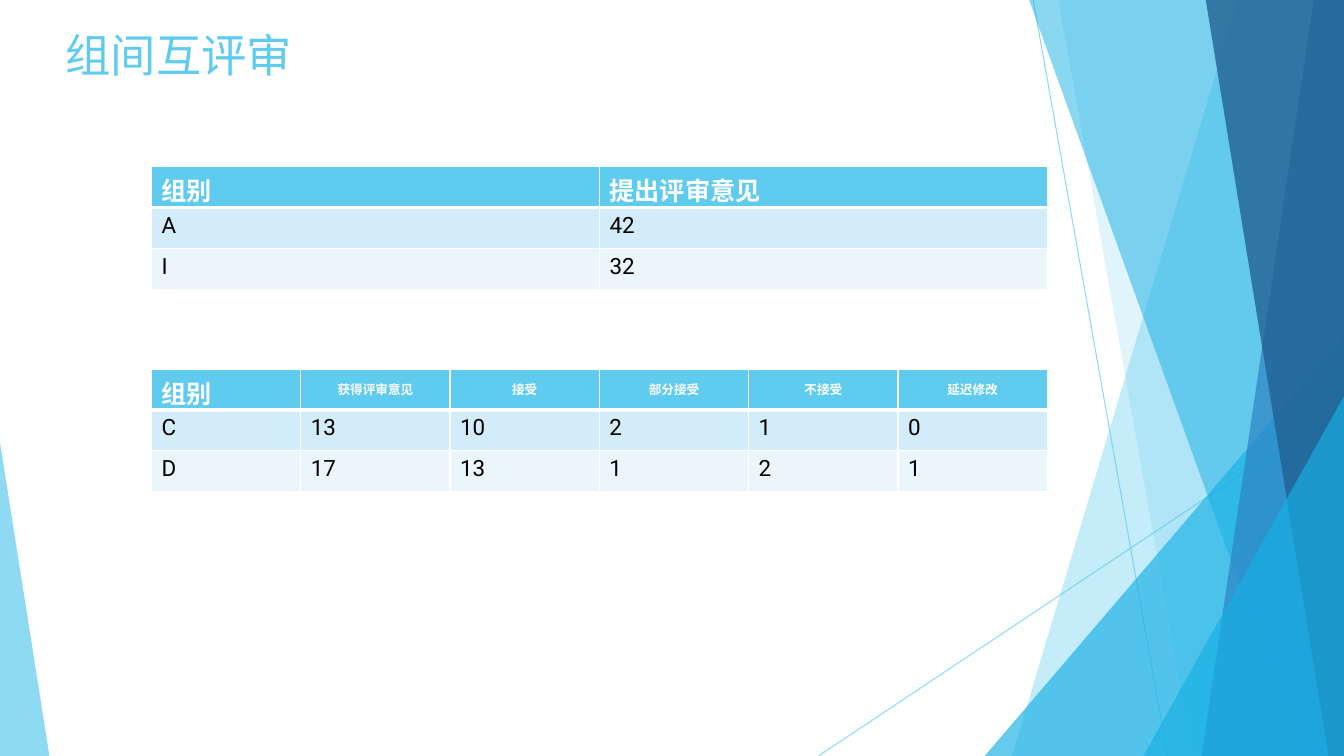
from collections import namedtuple
from dataclasses import dataclass

from lxml.etree import SubElement
from pptx import Presentation
from pptx.dml.color import RGBColor
from pptx.enum.shapes import MSO_CONNECTOR, MSO_SHAPE
from pptx.enum.text import MSO_ANCHOR, PP_ALIGN
from pptx.oxml.ns import qn
from pptx.util import Pt

Box = namedtuple("Box", "x y w h")


@dataclass(frozen=True)
class Theme:
    sky: str = "5FCBEF"
    cyan: str = "17B0E4"
    blue: str = "2E83C3"
    navy: str = "226292"
    white: str = "FFFFFF"
    black: str = "000000"
    bands: tuple = ("D2ECF9", "EAF6FC")
    font: str = "Roboto"
    serif: str = "Times New Roman"
    title: float = 32.4
    head: float = 18
    body: float = 16
    small: float = 9
    hair: float = 0.75
    rule: float = 1
    thick: float = 3


THEME = Theme()


def rgb(code):
    return RGBColor.from_string(code)


def fade(part, alpha):
    """Set the opacity, in percent, of every colour in an XML part."""
    for tone in part.iter(qn("a:srgbClr")):
        SubElement(tone, qn("a:alpha")).set("val", str(alpha * 1000))


def paint(shape, color, alpha):
    shape.shadow.inherit = False
    shape.fill.solid()
    shape.fill.fore_color.rgb = rgb(color)
    shape.line.fill.background()
    fade(shape._element.spPr, alpha)


def style(para, font, size, color, bold=False):
    for run in para.runs:
        run.font.name = font
        run.font.size = Pt(size)
        run.font.bold = bold
        run.font.color.rgb = rgb(color)


def add_line(slide, start, end):
    line = slide.shapes.add_connector(
        MSO_CONNECTOR.STRAIGHT, *(Pt(v) for v in (*start, *end)))
    line.line.color.rgb = rgb(THEME.sky)
    line.line.width = Pt(THEME.hair)
    props = line._element.spPr
    fade(props, 70)
    SubElement(props, qn("a:effectLst"))


def add_pane(slide, box, top, foot, color, alpha):
    """Fill the box from a slanted left edge, set back from its right side."""
    right, base = box.x + box.w, box.y + box.h
    form = slide.shapes.build_freeform(Pt(right - top), Pt(box.y), scale=1.0)
    form.add_line_segments([(Pt(right), Pt(box.y)), (Pt(right), Pt(base)),
                            (Pt(right - foot), Pt(base))])
    paint(form.convert_to_shape(), color, alpha)


def add_wedge(slide, box, peak, color, alpha):
    wedge = slide.shapes.add_shape(
        MSO_SHAPE.ISOSCELES_TRIANGLE, *(Pt(v) for v in box))
    wedge.adjustments[0] = peak
    paint(wedge, color, alpha)


def add_facets(slide, box):
    right, base = box.x + box.w, box.y + box.h

    def corner(wide, high):
        area = Box(right - wide, base - high, wide, high)
        add_wedge(slide, area, 1, THEME.cyan, 66)

    add_line(slide, (right - 222, box.y), (right - 126, base))
    add_line(slide, (right, base - 250), (box.x, base))
    add_pane(slide, box, 75.8, 237.1, THEME.sky, 36)
    add_pane(slide, box, 204, 108, THEME.sky, 20)
    corner(256.6, 300.2)
    add_pane(slide, box, 224.9, 30.4, THEME.cyan, 50)
    add_pane(slide, box, 21.7, 101.7, THEME.blue, 70)
    add_pane(slide, box, 98.7, 11, THEME.navy, 80)
    corner(143.3, 257)


def add_title(slide, box, text):
    frame = slide.shapes.add_textbox(*(Pt(v) for v in box)).text_frame
    frame.word_wrap = True
    frame.vertical_anchor = MSO_ANCHOR.MIDDLE
    frame.text = text
    style(frame.paragraphs[0], THEME.font, THEME.title, THEME.sky)


def add_rules(cell, row):
    """Draw white cell borders, thick between the header and the body."""
    props = cell._tc.get_or_add_tcPr()
    for side in "LRTB":
        thick = (row, side) in ((0, "B"), (1, "T"))
        width = THEME.thick if thick else THEME.rule
        line = SubElement(props, qn("a:ln" + side), w=str(Pt(width)))
        fill = SubElement(line, qn("a:solidFill"))
        SubElement(fill, qn("a:srgbClr"), val=THEME.white)


def add_grid(slide, box, rows, small=False):
    """Add a table; small sets the headings after the first in small type."""
    table = slide.shapes.add_table(
        len(rows), len(rows[0]), *(Pt(v) for v in box)).table
    for col in table.columns:
        col.width = Pt(box.w / len(rows[0]))
    for r, texts in enumerate(rows):
        table.rows[r].height = Pt(box.h / len(rows))
        for c, text in enumerate(texts):
            cell = table.cell(r, c)
            add_rules(cell, r)
            cell.fill.solid()
            tone = THEME.bands[(r - 1) % 2] if r else THEME.sky
            cell.fill.fore_color.rgb = rgb(tone)
            cell.text_frame.text = text
            para = cell.text_frame.paragraphs[0]
            if r:
                style(para, THEME.font, THEME.body, THEME.black)
            elif small and c:
                cell.margin_left = cell.margin_right = Pt(0.72)
                cell.margin_top = cell.margin_bottom = 0
                cell.vertical_anchor = MSO_ANCHOR.MIDDLE
                para.alignment = PP_ALIGN.CENTER
                style(para, THEME.serif, THEME.small, THEME.white, True)
            else:
                style(para, THEME.font, THEME.head, THEME.white, True)


def main():
    deck = Presentation()
    deck.slide_width, deck.slide_height = Pt(960), Pt(540)
    slide = deck.slides.add_slide(deck.slide_layouts[6])
    add_facets(slide, Box(584.6, 0, 375.4, 540))
    add_wedge(slide, Box(0, 316, 35.3, 224), 0, THEME.sky, 70)
    add_title(slide, Box(39.6, 22.3, 404, 33.8), "组间互评审")
    add_grid(slide, Box(108.2, 263.5, 640, 87.6), [
        ["组别", "获得评审意见", "接受", "部分接受", "不接受", "延迟修改"],
        ["C", "13", "10", "2", "1", "0"],
        ["D", "17", "13", "1", "2", "1"],
    ], small=True)
    add_grid(slide, Box(108.2, 119, 640, 87.6), [
        ["组别", "提出评审意见"],
        ["A", "42"],
        ["I", "32"],
    ])
    deck.save("out.pptx")


if __name__ == "__main__":
    main()
